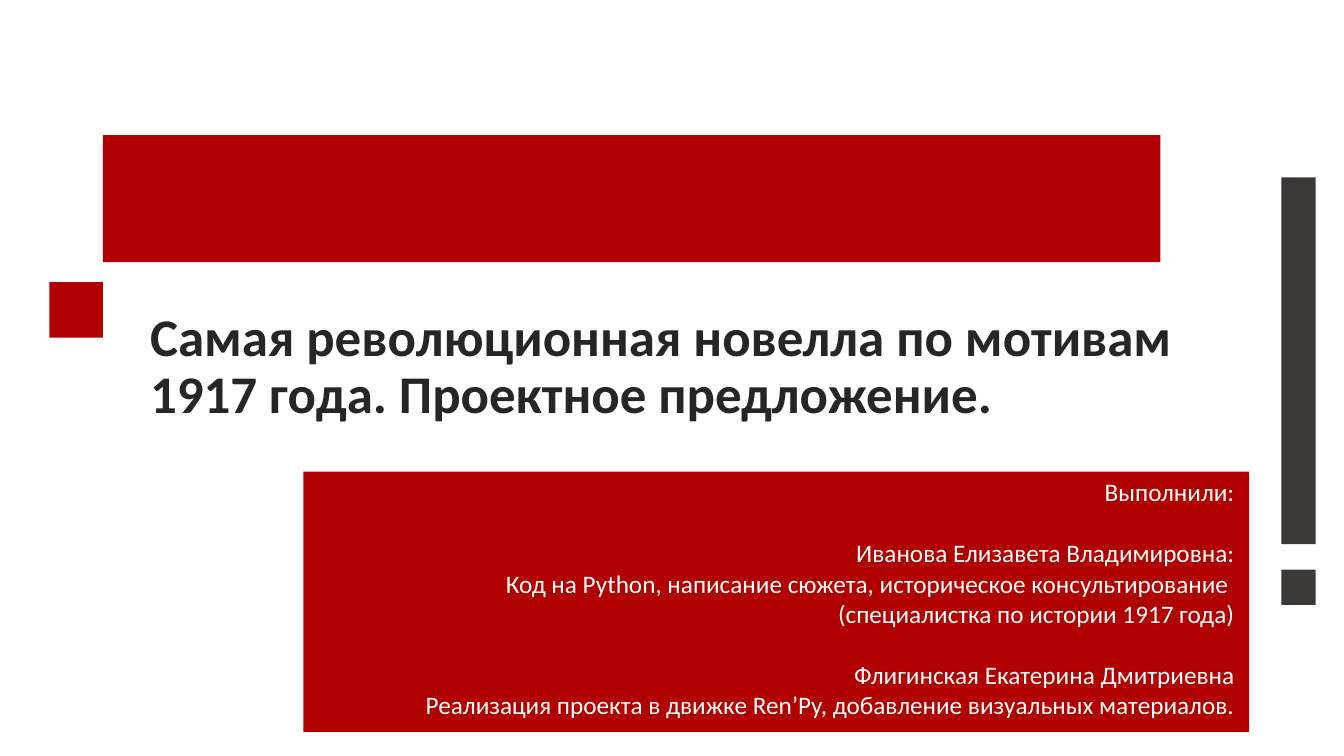
from pptx import Presentation
from pptx.dml.color import RGBColor
from pptx.enum.shapes import MSO_SHAPE
from pptx.enum.text import MSO_ANCHOR, PP_ALIGN
from pptx.util import Inches, Pt

RED = RGBColor(0xB0, 0x00, 0x00)
GRAY = RGBColor(0x3B, 0x38, 0x38)
DARK = RGBColor(0x26, 0x26, 0x26)
WHITE = RGBColor(0xFF, 0xFF, 0xFF)

TITLE = "Самая революционная новелла по мотивам 1917 года. Проектное предложение."
TITLE_FORMAT = {"name": "Calibri", "size": Pt(37.8), "bold": True}
CREDITS_FORMAT = {"name": "Calibri", "size": Pt(18)}
CREDITS_LINE = Pt(22)  # height of one line of credits

# Each group of credits is set apart by one line
CREDITS = [
    ["Выполнили:"],
    ["Иванова Елизавета Владимировна:",
     "Код на Python, написание сюжета, историческое консультирование ",
     "(специалистка по истории 1917 года)"],
    ["Флигинская Екатерина Дмитриевна",
     "Реализация проекта в движке Ren’Py, добавление визуальных материалов."],
]


def add_block(slide, left, top, width, height, color):
    shape = slide.shapes.add_shape(
        MSO_SHAPE.RECTANGLE, Inches(left), Inches(top), Inches(width), Inches(height))
    shape.shadow.inherit = False
    shape.fill.solid()
    shape.fill.fore_color.rgb = color
    shape.line.fill.background()


def add_text_frame(slide, left, top, width, height, anchor):
    shape = slide.shapes.add_textbox(
        Inches(left), Inches(top), Inches(width), Inches(height))
    text_frame = shape.text_frame
    text_frame.word_wrap = True
    text_frame.vertical_anchor = anchor
    return text_frame


def write(paragraph, text, color, font_format):
    run = paragraph.add_run()
    run.text = text
    run.font.color.rgb = color
    for name, value in font_format.items():
        setattr(run.font, name, value)


def add_title(slide, left, top, width, height):
    # Red square hanging to the left of the title
    add_block(slide, left - 0.9, top - 0.12, 0.53, 0.55, RED)
    text_frame = add_text_frame(slide, left, top, width, height, MSO_ANCHOR.MIDDLE)
    paragraph = text_frame.paragraphs[0]
    paragraph.line_spacing = 0.9
    write(paragraph, TITLE, DARK, TITLE_FORMAT)


def add_credits(slide, left, top, width, height):
    add_block(slide, left, top, width, height, RED)
    inset = 0.38
    text_frame = add_text_frame(
        slide, left + inset, top, width - inset - 0.05, height, MSO_ANCHOR.TOP)
    paragraph = text_frame.paragraphs[0]
    for group_index, group in enumerate(CREDITS):
        for line_index, line in enumerate(group):
            if group_index or line_index:
                paragraph = text_frame.add_paragraph()
            paragraph.alignment = PP_ALIGN.RIGHT
            if group_index and line_index == 0:
                paragraph.space_before = CREDITS_LINE
            write(paragraph, line, WHITE, CREDITS_FORMAT)


def add_side_mark(slide, left, top, width, height):
    # Exclamation mark: a long bar over a dot
    dot = 0.35
    add_block(slide, left, top, width, height - dot - 0.25, GRAY)
    add_block(slide, left, top + height - dot, width, dot, GRAY)


def main():
    presentation = Presentation()
    presentation.slide_width = Inches(13.33)
    presentation.slide_height = Inches(7.5)
    slide = presentation.slides.add_slide(presentation.slide_layouts[6])

    add_credits(slide, 3.01, 4.68, 9.38, 2.58)
    # Red banner above the title
    add_block(slide, 1.02, 1.34, 10.49, 1.26, RED)
    add_title(slide, 1.39, 2.92, 11.23, 1.45)
    add_side_mark(slide, 12.71, 1.76, 0.34, 4.24)

    presentation.save("out.pptx")


if __name__ == "__main__":
    main()
